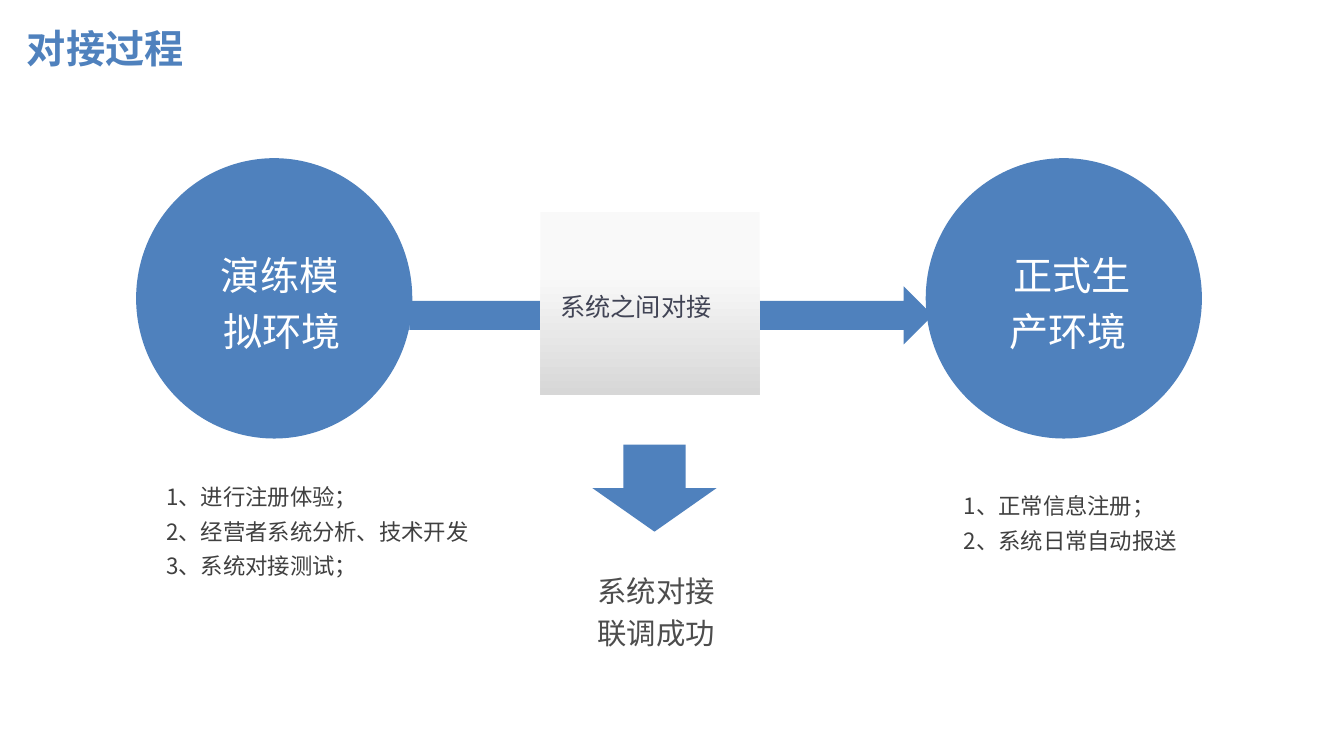
from lxml import etree
from pptx import Presentation
from pptx import util as u
from pptx.dml.color import RGBColor
from pptx.enum import shapes, text
from pptx.oxml.ns import qn

PX = 9080  # EMU per px
FONT = "Noto Sans CJK SC"
BLUE = RGBColor(0x4F, 0x81, 0xBD)
WHITE = RGBColor(0xFF, 0xFF, 0xFF)
SLATE = RGBColor(0x41, 0x44, 0x55)
DARK = RGBColor(0x40, 0x40, 0x40)
GREY = RGBColor(0x4D, 0x4D, 0x4D)
LIGHT_GREY = RGBColor(0xF9, 0xF9, 0xF9)
MID_GREY = RGBColor(0xD7, 0xD7, 0xD7)

presentation = Presentation()
presentation.slide_width = 1343 * PX
presentation.slide_height = 755 * PX
slide = presentation.slides.add_slide(presentation.slide_layouts[6])


def add_block(kind, box):
    shape = slide.shapes.add_shape(kind, *[length * PX for length in box])
    shape.shadow.inherit = False
    shape.fill.solid()
    shape.fill.fore_color.rgb = BLUE
    shape.line.fill.background()
    return shape


def write(shape, lines, size, color, spacing, align=text.PP_ALIGN.LEFT,
          anchor=text.MSO_ANCHOR.TOP, indents=None, insets=(14, 7), bold=False):
    frame = shape.text_frame
    frame.word_wrap = True
    frame.vertical_anchor = anchor
    frame.margin_left = frame.margin_right = insets[0] * PX
    frame.margin_top = frame.margin_bottom = insets[1] * PX
    for index, line in enumerate(lines):
        paragraph = frame.add_paragraph() if index else frame.paragraphs[0]
        paragraph.alignment = align
        paragraph.line_spacing = spacing
        if indents:
            paragraph._p.get_or_add_pPr().set("marL", str(indents[index] * PX))
        run = paragraph.add_run()
        run.text = line
        run.font.size = u.Pt(size)
        run.font.bold = bold
        run.font.color.rgb = color
        run.font.name = FONT
        etree.SubElement(run.font._element, qn("a:ea")).set("typeface", FONT)


# Long arrow behind the circles and the centre box
add_block(shapes.MSO_SHAPE.RIGHT_ARROW, (409, 286, 523, 58))

# Environment circles
for left, lines, indents in [
    (136, ["演练模", "拟环境"], [11, 16]),
    (925, ["正式生", "产环境"], [16, 8]),
]:
    circle = add_block(shapes.MSO_SHAPE.OVAL, (left, 158, 276, 280))
    write(circle, lines, 28, WHITE, 1.2, text.PP_ALIGN.CENTER,
          text.MSO_ANCHOR.MIDDLE, indents)

# Centre box with a vertical gradient
link_box = add_block(shapes.MSO_SHAPE.RECTANGLE, (540, 212, 219, 183))
link_box.fill.gradient()
link_box.fill.gradient_angle = 270
for stop, (position, color) in zip(link_box.fill.gradient_stops,
                                   [(0.33, LIGHT_GREY), (1, MID_GREY)]):
    stop.position = position
    stop.color.rgb = color
write(link_box, ["系统之间对接"], 18, SLATE, 1.2,
      anchor=text.MSO_ANCHOR.MIDDLE, indents=[6])

# Down arrow to the result
add_block(shapes.MSO_SHAPE.DOWN_ARROW, (592, 444, 124, 87))

# Step lists, result and title
for box, lines, size, color, spacing in [
    ((152, 467, 343, 120),
     ["1、进行注册体验；", "2、经营者系统分析、技术开发", "3、系统对接测试；"], 16, DARK, 1.3),
    ((949, 476, 320, 85), ["1、正常信息注册；", "2、系统日常自动报送"], 16, DARK, 1.3),
    ((583, 558, 173, 100), ["系统对接联调成功"], 21, GREY, 1.2),
    ((17, 19, 363, 57), ["对接过程"], 28, BLUE, 1.0),
]:
    is_title = size == 28
    text_box = slide.shapes.add_textbox(*[length * PX for length in box])
    write(text_box, lines, size, color, spacing,
          insets=(10, 5) if is_title else (14, 7), bold=is_title)

presentation.save("out.pptx")
